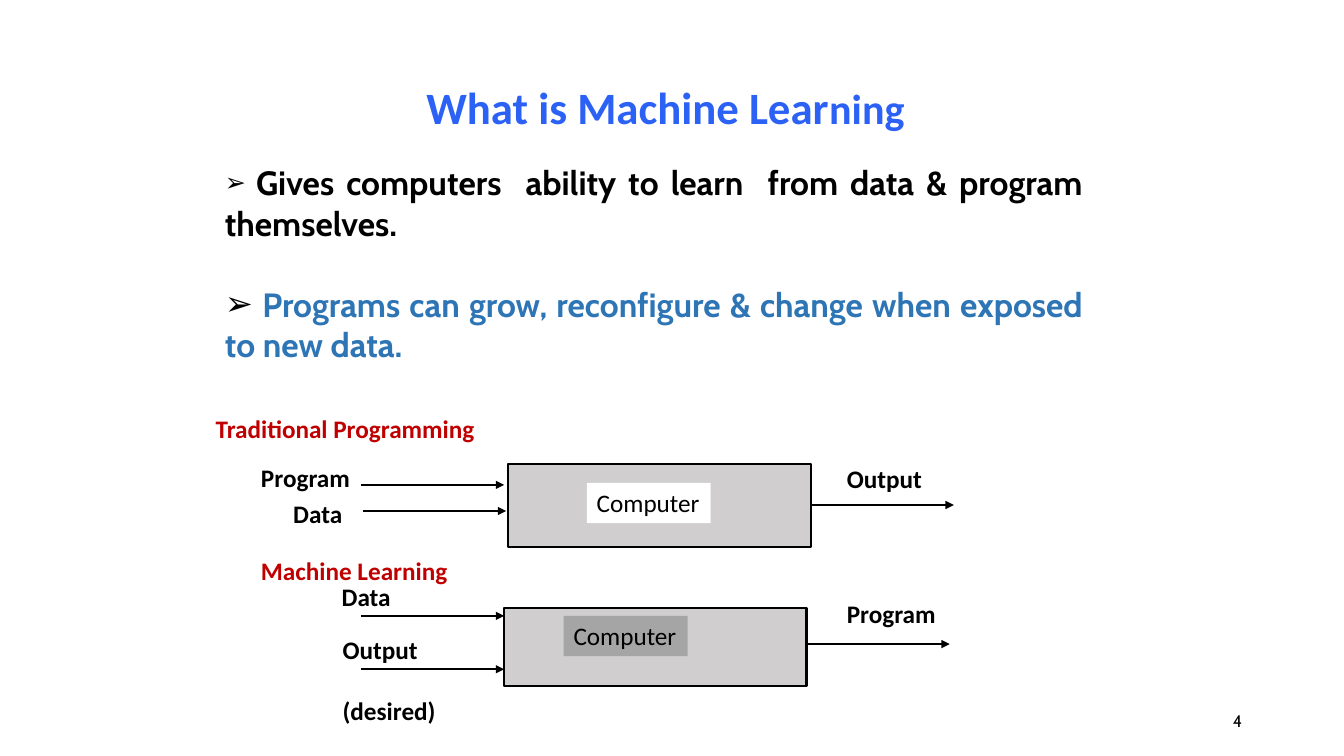
from pptx import Presentation
from pptx.dml.color import RGBColor
from pptx.enum import shapes, text
from pptx.oxml import xmlchemy
from pptx.util import Inches, Pt

BLACK = RGBColor(0x00, 0x00, 0x00)
WHITE = RGBColor(0xFF, 0xFF, 0xFF)
TITLE_BLUE = RGBColor(0x2C, 0x61, 0xF6)
LIST_BLUE = RGBColor(0x2E, 0x75, 0xB6)
RED = RGBColor(0xC0, 0x00, 0x00)
LIGHT_GREY = RGBColor(0xD0, 0xCE, 0xCE)
MID_GREY = RGBColor(0xA5, 0xA5, 0xA5)


def add_span(para, wording, size=18, font="Calibri", color=BLACK, bold=True):
    span = para.add_run()
    span.text = wording
    span.font.size = Pt(size)
    span.font.name = font
    span.font.color.rgb = color
    span.font.bold = bold


def add_element(parent, tag, **attributes):
    element = xmlchemy.OxmlElement(tag)
    for name, value in attributes.items():
        element.set(name, value)
    parent.append(element)
    return element


deck = Presentation()
deck.slide_width = Inches(13.33)
deck.slide_height = Inches(7.5)
slide = deck.slides.add_slide(deck.slide_layouts[1])

title, body = slide.placeholders
for holder, bounds, anchor in [
    (title, (2.35, 0.29, 8.5, 1.08), text.MSO_ANCHOR.BOTTOM),
    (body, (2.13, 1.56, 8.71, 2.11), text.MSO_ANCHOR.TOP),
]:
    holder.left, holder.top, holder.width, holder.height = map(Inches, bounds)
    holder.text_frame.vertical_anchor = anchor
    holder.text_frame.auto_size = text.MSO_AUTO_SIZE.NONE

heading = title.text_frame.paragraphs[0]
heading.alignment = text.PP_ALIGN.CENTER
heading.line_spacing = Pt(32.4)
add_span(heading, "What is Machine Lear", size=32, color=TITLE_BLUE)
add_span(heading, "ning", size=30, color=TITLE_BLUE)

points = [
    ("Gives computers  ability to learn  from data & program themselves.", 18, BLACK, 0),
    ("Programs can grow, reconfigure & change when exposed to new data.", 24, LIST_BLUE, 29),
]
for index, (wording, bullet_size, color, gap) in enumerate(points):
    frame = body.text_frame
    para = frame.add_paragraph() if index else frame.paragraphs[0]
    para.alignment = text.PP_ALIGN.JUSTIFY
    para.space_before = Pt(gap)
    properties = para._p.get_or_add_pPr()
    properties.set("marL", "0")
    properties.set("indent", "0")
    add_element(properties, "a:buFont", typeface="Arial")
    add_element(properties, "a:buChar", char="➢")
    add_span(para, " ", size=bullet_size, font="Cabin", bold=False)
    add_span(para, wording, size=24, font="Cabin", color=color)

computers = [
    ((5.04, 4.6, 3, 0.83), (5.82, 4.79, 1.23, 0.4), WHITE),
    ((5, 6.03, 3, 0.78), (5.59, 6.11, 1.23, 0.4), MID_GREY),
]
for machine_bounds, name_bounds, name_fill in computers:
    machine = slide.shapes.add_shape(
        shapes.MSO_SHAPE.RECTANGLE, *map(Inches, machine_bounds))
    machine.shadow.inherit = False
    machine.fill.solid()
    machine.fill.fore_color.rgb = LIGHT_GREY
    machine.line.color.rgb = BLACK
    machine.line.width = Pt(1.5)
    name_box = slide.shapes.add_textbox(*map(Inches, name_bounds))
    name_box.fill.solid()
    name_box.fill.fore_color.rgb = name_fill
    name_box.text_frame.word_wrap = False
    add_span(name_box.text_frame.paragraphs[0], "Computer", bold=False)

ARROW_LENGTH = 1.42
for left, top in [(3.58, 4.81), (3.6, 5.07), (8.04, 5.01),
                  (3.58, 6.11), (3.58, 6.64), (8, 6.39)]:
    arrow = slide.shapes.add_connector(
        shapes.MSO_CONNECTOR.STRAIGHT,
        *map(Inches, (left, top, left + ARROW_LENGTH, top)))
    arrow.line.color.rgb = BLACK
    arrow.line.width = Pt(1.5)
    add_element(arrow.line._get_or_add_ln(), "a:tailEnd", type="triangle")
    add_element(arrow._element.spPr, "a:effectLst")

labels = [
    (["Traditional Programming"], 2.04, 4.05, 4.63, RED),
    (["Program"], 2.49, 4.54, 1.42, BLACK),
    (["Data"], 2.81, 4.89, 1.42, BLACK),
    (["Output"], 8.3, 4.55, 1.42, BLACK),
    (["Machine Learning"], 2.49, 5.46, 4.63, RED),
    (["Data"], 3.29, 5.72, 1.42, BLACK),
    (["Output", "(desired)"], 3.3, 6.24, 2.31, BLACK),
    (["Program"], 8.3, 5.89, 1.42, BLACK),
]
for lines, left, top, width, color in labels:
    height = 0.4 if len(lines) == 1 else 1.01
    box = slide.shapes.add_textbox(*map(Inches, (left, top, width, height)))
    box.text_frame.word_wrap = True
    for index, wording in enumerate(lines):
        frame = box.text_frame
        para = frame.add_paragraph() if index else frame.paragraphs[0]
        para.space_before = Pt(22 * index)
        add_span(para, wording, color=color)

number_box = slide.shapes.add_textbox(*map(Inches, (9.42, 6.95, 3, 0.4)))
number_box.text_frame.word_wrap = True
number_box.text_frame.vertical_anchor = text.MSO_ANCHOR.MIDDLE
number = number_box.text_frame.paragraphs[0]
number.alignment = text.PP_ALIGN.RIGHT
add_span(number, "4", size=12, font="Cabin", bold=False)

deck.save("out.pptx")
